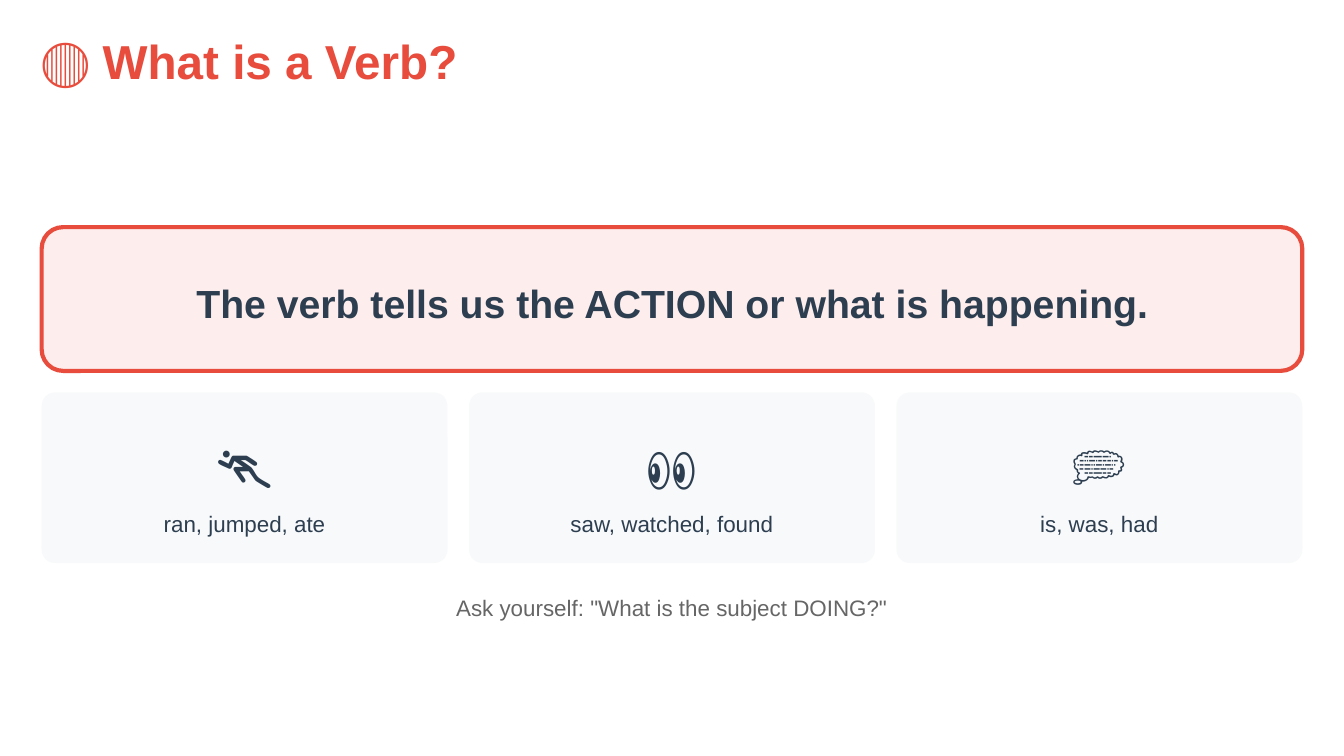
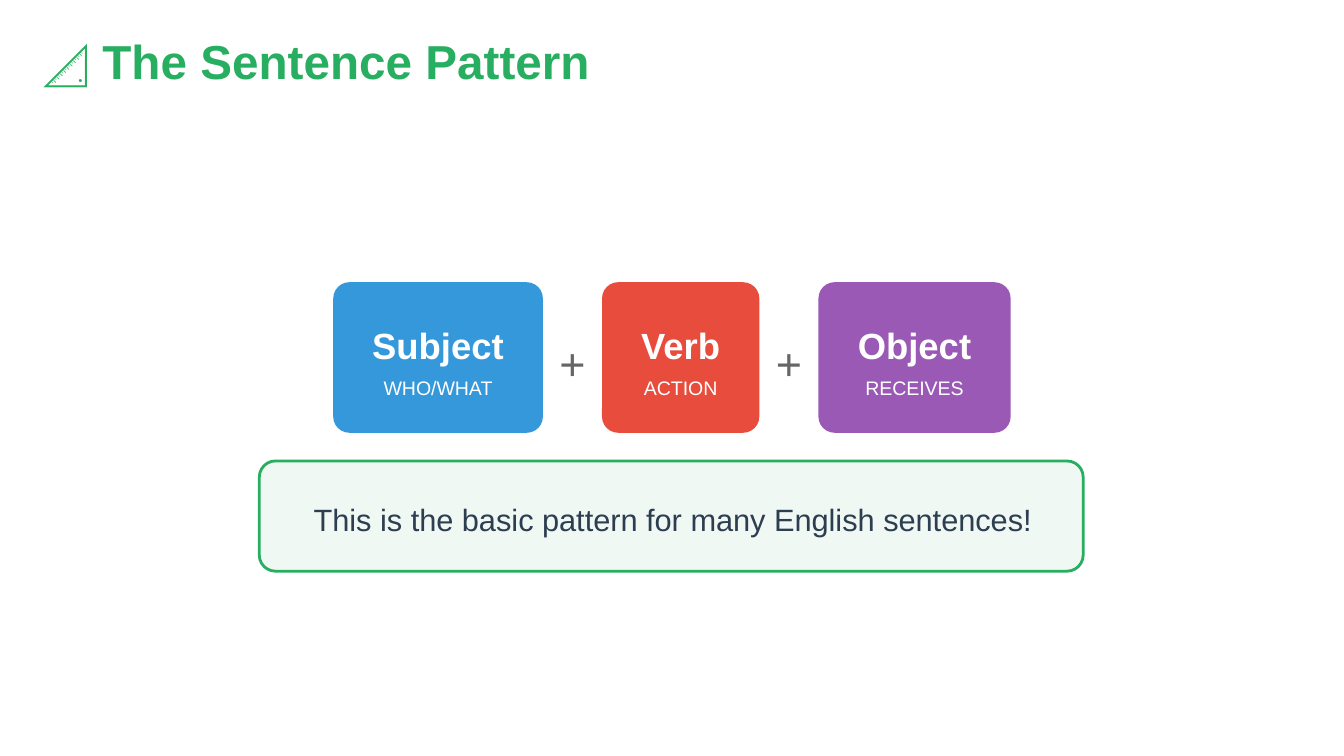
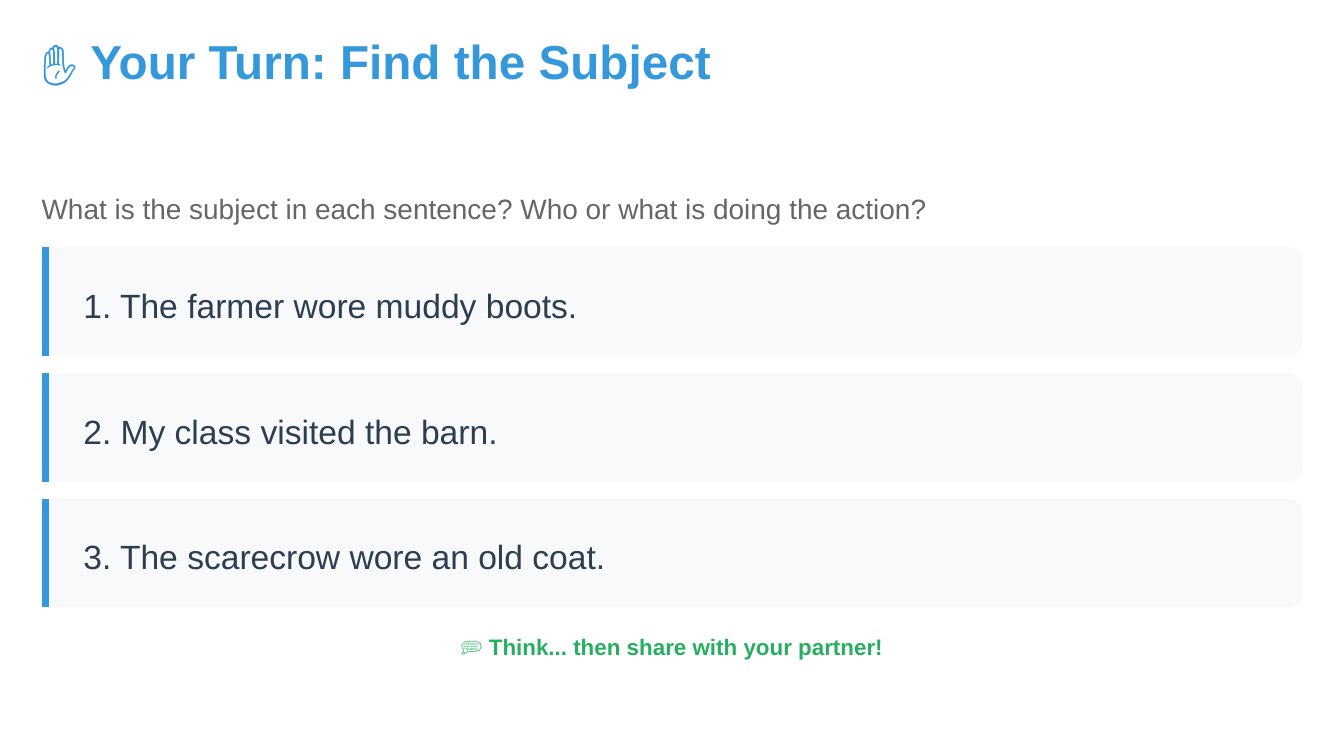
import pptx
import pptx.dml.color
import pptx.enum.shapes
import pptx.enum.text
import pptx.util
from lxml import etree
from pptx.util import Inches

WHITE, INK, GREY, PALE = "FFFFFF", "2C3E50", "666666", "F8F9FA"
RED, GREEN, BLUE, PURPLE = "E74C3C", "27AE60", "3498DB", "9B59B6"
PALE_RED, PALE_GREEN = "FDEDEC", "F0F8F4"
FONT = "Arial"
SLIDE_WIDTH = 10
SLIDE_HEIGHT = SLIDE_WIDTH * 9 / 16
MARGIN = 0.31
CONTENT_WIDTH = 9.38
DRAWING_NS = "http://schemas.openxmlformats.org/drawingml/2006/main"


def color(value):
    """Turn a hex string into a colour."""
    return pptx.dml.color.RGBColor.from_string(value)


def add_text(slide, box, words, size, ink=INK, bold=False, centered=True,
             leading=1.4, before=3, after=3):
    """Write one paragraph in a box without insets."""
    frame = slide.shapes.add_textbox(*map(Inches, box)).text_frame
    frame.word_wrap = True
    frame.margin_left = frame.margin_right = 0
    frame.margin_top = frame.margin_bottom = 0
    paragraph = frame.paragraphs[0]
    paragraph.text = words
    align = pptx.enum.text.PP_ALIGN
    paragraph.alignment = align.CENTER if centered else align.LEFT
    paragraph.line_spacing = pptx.util.Pt(size * leading)
    paragraph.space_before = pptx.util.Pt(before)
    paragraph.space_after = pptx.util.Pt(after)
    paragraph.font.name = FONT
    paragraph.font.size = pptx.util.Pt(size)
    paragraph.font.bold = bold
    paragraph.font.color.rgb = color(ink)


def add_panel(slide, box, fill, radius, border=None, border_width=0):
    """Draw a rounded panel with a corner radius in inches."""
    panel = slide.shapes.add_shape(
        pptx.enum.shapes.MSO_SHAPE.ROUNDED_RECTANGLE, *map(Inches, box))
    panel.adjustments[0] = radius / min(box[2:])
    panel.shadow.inherit = False
    panel.fill.solid()
    panel.fill.fore_color.rgb = color(fill)
    if border:
        panel.line.color.rgb = color(border)
        panel.line.width = pptx.util.Pt(border_width)
    else:
        panel.line.fill.background()


def add_titled_slide(deck, title, ink, width=4.79, after=15):
    """Start a blank slide with a coloured heading."""
    slide = deck.slides.add_slide(deck.slide_layouts[6])
    add_text(slide, (MARGIN, 0.31, width, 0.35), title, 25.5, ink, bold=True,
             centered=False, leading=1, before=0, after=after)
    return slide


def add_closing_line(slide, top, words, ink, bold=False):
    """Centre a short prompt below the content."""
    add_text(slide, (0.22, top, 9.56, 0.23), words, 12, ink, bold)


def add_example_card(slide, box, symbol, verbs):
    """Draw a card with a symbol above sample verbs."""
    left, top, width, _ = box
    add_panel(slide, box, PALE, 0.1)
    inner_left, inner_width = left + 0.13, width - 0.26
    add_text(slide, (inner_left, top + 0.2, inner_width, 0.58), symbol, 30, after=4.5)
    add_text(slide, (inner_left, top + 0.84, inner_width, 0.23), verbs, 12)


def add_pattern_part(slide, box, part, role, fill):
    """Draw one coloured part of the sentence pattern."""
    left, top, width, _ = box
    add_panel(slide, box, fill, 0.12)
    inner_left, inner_width = left + 0.28, width - 0.56
    add_text(slide, (inner_left, top + 0.25, inner_width, 0.38), part, 19.5, WHITE, bold=True)
    add_text(slide, (inner_left, top + 0.67, inner_width, 0.2), role, 10.5, WHITE)


def add_sentence(slide, box, sentence):
    """Draw a practice sentence with an accent bar on its left."""
    left, top, width, height = box
    add_panel(slide, box, PALE, 0.1)
    bar_x = left + 0.03
    bar = slide.shapes.add_connector(
        pptx.enum.shapes.MSO_CONNECTOR.STRAIGHT,
        *map(Inches, (bar_x, top, bar_x, top + height)))
    bar.line.color.rgb = color(BLUE)
    bar.line.width = pptx.util.Pt(3.75)
    etree.SubElement(bar._element.spPr, f"{{{DRAWING_NS}}}effectLst")
    add_text(slide, (left + 0.31, top + 0.23, width - 0.4, 0.35), sentence, 18,
             centered=False)


def build_verb_slide(deck):
    """Define the verb and show three groups of examples."""
    slide = add_titled_slide(deck, "🔴 What is a Verb?", RED)
    add_panel(slide, (MARGIN, 1.69, CONTENT_WIDTH, 1.07), PALE_RED, 0.16, RED, 2.25)
    add_text(slide, (0.52, 2.02, 8.97, 0.41),
             "The verb tells us the ACTION or what is happening.", 21, bold=True)
    examples = [("🏃", "ran, jumped, ate"), ("👀", "saw, watched, found"),
                ("💭", "is, was, had")]
    gap = 0.16
    card_width = (CONTENT_WIDTH - gap * (len(examples) - 1)) / len(examples)
    for index, (symbol, verbs) in enumerate(examples):
        left = MARGIN + index * (card_width + gap)
        add_example_card(slide, (left, 2.92, card_width, 1.27), symbol, verbs)
    add_closing_line(slide, 4.39, 'Ask yourself: "What is the subject DOING?"', GREY)


def build_pattern_slide(deck):
    """Show subject, verb and object joined by plus signs."""
    slide = add_titled_slide(deck, "📐 The Sentence Pattern", GREEN)
    parts = [("Subject", "WHO/WHAT", BLUE, 1.56), ("Verb", "ACTION", RED, 1.17),
             ("Object", "RECEIVES", PURPLE, 1.43)]
    gap, plus_width = 0.12, 0.2
    step = plus_width + 2 * gap
    row_width = sum(width for *_, width in parts) + step * (len(parts) - 1)
    left = (SLIDE_WIDTH - row_width) / 2
    for index, (part, role, fill, width) in enumerate(parts):
        if index:
            add_text(slide, (left + gap, 2.43, plus_width, 0.47), "+", 24, GREY)
            left += step
        add_pattern_part(slide, (left, 2.1, width, 1.12), part, role, fill)
        left += width
    add_panel(slide, (1.93, 3.43, 6.13, 0.82), PALE_GREEN, 0.12, GREEN, 1.5)
    add_text(slide, (2.27, 3.68, 5.47, 0.32),
             "This is the basic pattern for many English sentences!", 16.5)


def build_practice_slide(deck):
    """List sentences in which to find the subject."""
    slide = add_titled_slide(deck, "✋ Your Turn: Find the Subject", BLUE, 5.25, 11.2)
    add_text(slide, (MARGIN, 1.38, 9.56, 0.29),
             "What is the subject in each sentence? Who or what is doing the action?",
             15, GREY, centered=False)
    sentences = ["The farmer wore muddy boots.", "My class visited the barn.",
                 "The scarecrow wore an old coat."]
    first_top, last_top = 1.84, 3.71
    pitch = (last_top - first_top) / (len(sentences) - 1)
    for index, sentence in enumerate(sentences):
        box = (MARGIN, first_top + index * pitch, CONTENT_WIDTH, 0.81)
        add_sentence(slide, box, f"{index + 1}. {sentence}")
    add_closing_line(slide, 4.68, "💭 Think... then share with your partner!", GREEN, bold=True)


def main():
    """Build and save the lesson."""
    deck = pptx.Presentation()
    deck.slide_width = Inches(SLIDE_WIDTH)
    deck.slide_height = Inches(SLIDE_HEIGHT)
    build_verb_slide(deck)
    build_pattern_slide(deck)
    build_practice_slide(deck)
    deck.save("out.pptx")


if __name__ == "__main__":
    main()
